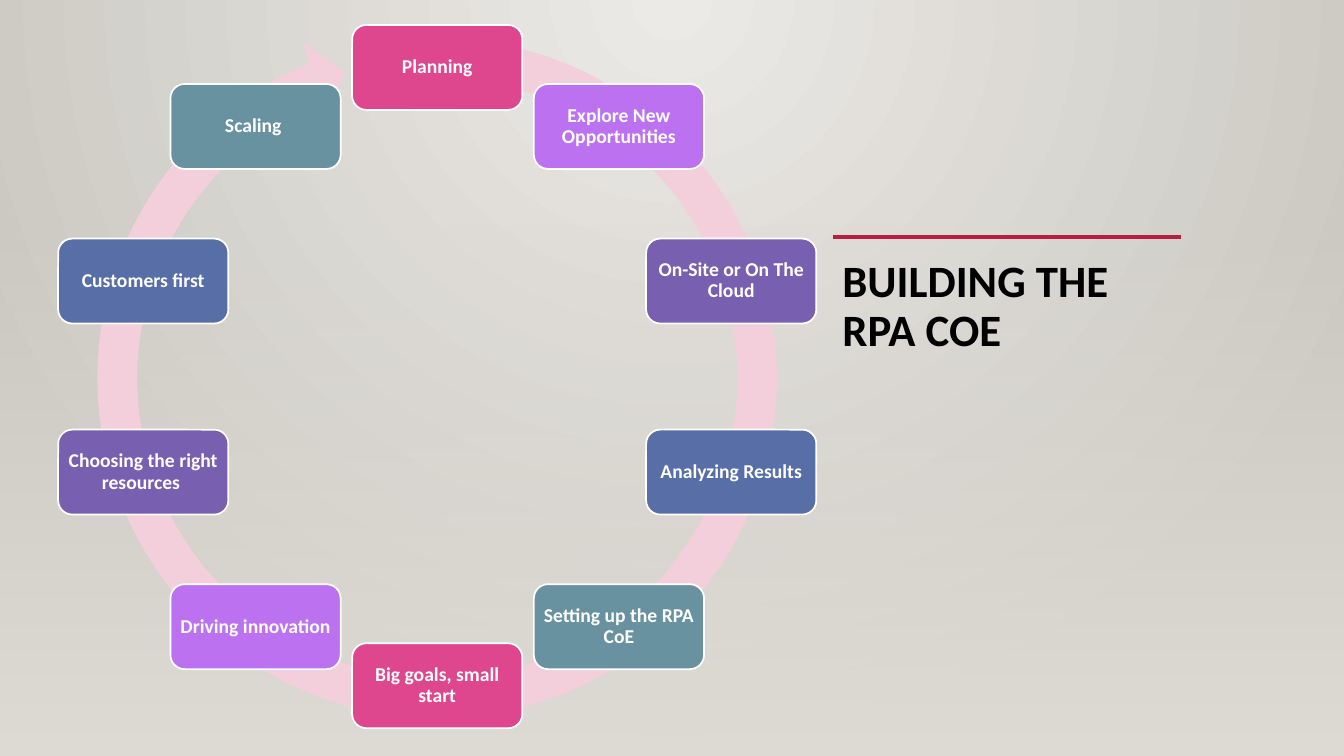
from math import cos, radians, sin

from lxml import etree
from pptx import Presentation
from pptx.dml.color import RGBColor
from pptx.enum.shapes import MSO_CONNECTOR, MSO_SHAPE
from pptx.enum.text import MSO_ANCHOR, PP_ALIGN
from pptx.oxml.ns import qn
from pptx.util import Cm, Pt

RECTANGLE = MSO_SHAPE.RECTANGLE
ROUNDED = MSO_SHAPE.ROUNDED_RECTANGLE
RING_ARROW = MSO_SHAPE.CIRCULAR_ARROW
STRAIGHT = MSO_CONNECTOR.STRAIGHT
MIDDLE = MSO_ANCHOR.MIDDLE
CENTER = PP_ALIGN.CENTER

STEPS = [
    "Planning",
    "Explore New Opportunities",
    "On-Site or On The Cloud",
    "Analyzing Results",
    "Setting up the RPA CoE",
    "Big goals, small start",
    "Driving innovation ",
    "Choosing the right resources ",
    "Customers first",
    "Scaling ",
]
STEP_COLORS = ["DE478E", "BC72F0", "795FAF", "586EA6", "6892A0"]
CENTER_X, CENTER_Y, RADIUS = 11.02, 9.49, 7.79
STEP_WIDTH, STEP_HEIGHT = 4.29, 2.14


def color(value):
    return RGBColor.from_string(value)


def write(frame, text, size, font_color):
    frame.word_wrap = True
    para = frame.paragraphs[0]
    para.line_spacing = 0.9
    span = para.add_run()
    span.text = text
    span.font.color.rgb = color(font_color)
    for name, value in {"name": "Calibri", "size": Pt(size), "bold": True}.items():
        setattr(span.font, name, value)
    return para


deck = Presentation()
deck.slide_width, deck.slide_height = Cm(33.87), Cm(19.05)
page = deck.slides.add_slide(deck.slide_layouts[6])

backdrop = page.background.fill
backdrop.gradient()
for stop, value in zip(backdrop.gradient_stops, ["ECEAE7", "CAC7C1"]):
    stop.color.rgb = color(value)
gradient = page._element.find(".//" + qn("a:gradFill"))
gradient.remove(gradient.find(qn("a:lin")))
glow = etree.SubElement(gradient, qn("a:path"), {"path": "circle"})
etree.SubElement(glow, qn("a:fillToRect"), {"l": "43000", "r": "43000", "b": "100000"})

haze = page.shapes.add_shape(RECTANGLE, 0, Cm(5.61), deck.slide_width, Cm(13.44))
haze.shadow.inherit = False
haze.line.fill.background()
haze.fill.gradient()
haze.fill.gradient_angle = 270
for stop in haze.fill.gradient_stops:
    stop.color.rgb = color("DFDBD5")
clear = haze._element.find(".//" + qn("a:gs")).find(qn("a:srgbClr"))
etree.SubElement(clear, qn("a:alpha"), {"val": "0"})

title = page.shapes.add_textbox(Cm(20.98), Cm(6.4), Cm(8.76), Cm(10.41))
write(title.text_frame, "BUILDING THE RPA COE", 32, "000000")

rule = page.shapes.add_connector(STRAIGHT, Cm(20.98), Cm(5.97), Cm(29.77), Cm(5.97))
rule.line.color.rgb = color("B71E42")
rule.line.width = Pt(2.5)
etree.SubElement(rule._element.spPr, qn("a:effectLst"))

ring = page.shapes.add_shape(RING_ARROW, Cm(1.9), Cm(0.41), Cm(18.24), Cm(18.24))
ring.shadow.inherit = False
ring.line.fill.background()
ring.fill.solid()
ring.fill.fore_color.rgb = color("F2CFDB")
for index, value in enumerate([0.055, 3.307, 148.558, 167.578, 0.058]):
    ring.adjustments[index] = value

for index, step in enumerate(STEPS):
    angle = radians(360 / len(STEPS) * index)
    left = CENTER_X + RADIUS * sin(angle) - STEP_WIDTH / 2
    top = CENTER_Y - RADIUS * cos(angle) - STEP_HEIGHT / 2
    box = page.shapes.add_shape(ROUNDED, Cm(left), Cm(top), Cm(STEP_WIDTH), Cm(STEP_HEIGHT))
    box.shadow.inherit = False
    box.fill.solid()
    box.fill.fore_color.rgb = color(STEP_COLORS[index % len(STEP_COLORS)])
    box.line.color.rgb = color("FFFFFF")
    box.line.width = Pt(1.25)
    frame = box.text_frame
    frame.vertical_anchor = MIDDLE
    for side in ["left", "top", "right", "bottom"]:
        setattr(frame, f"margin_{side}", Cm(0.14))
    write(frame, step, 14, "FFFFFF").alignment = CENTER

deck.save("out.pptx")
